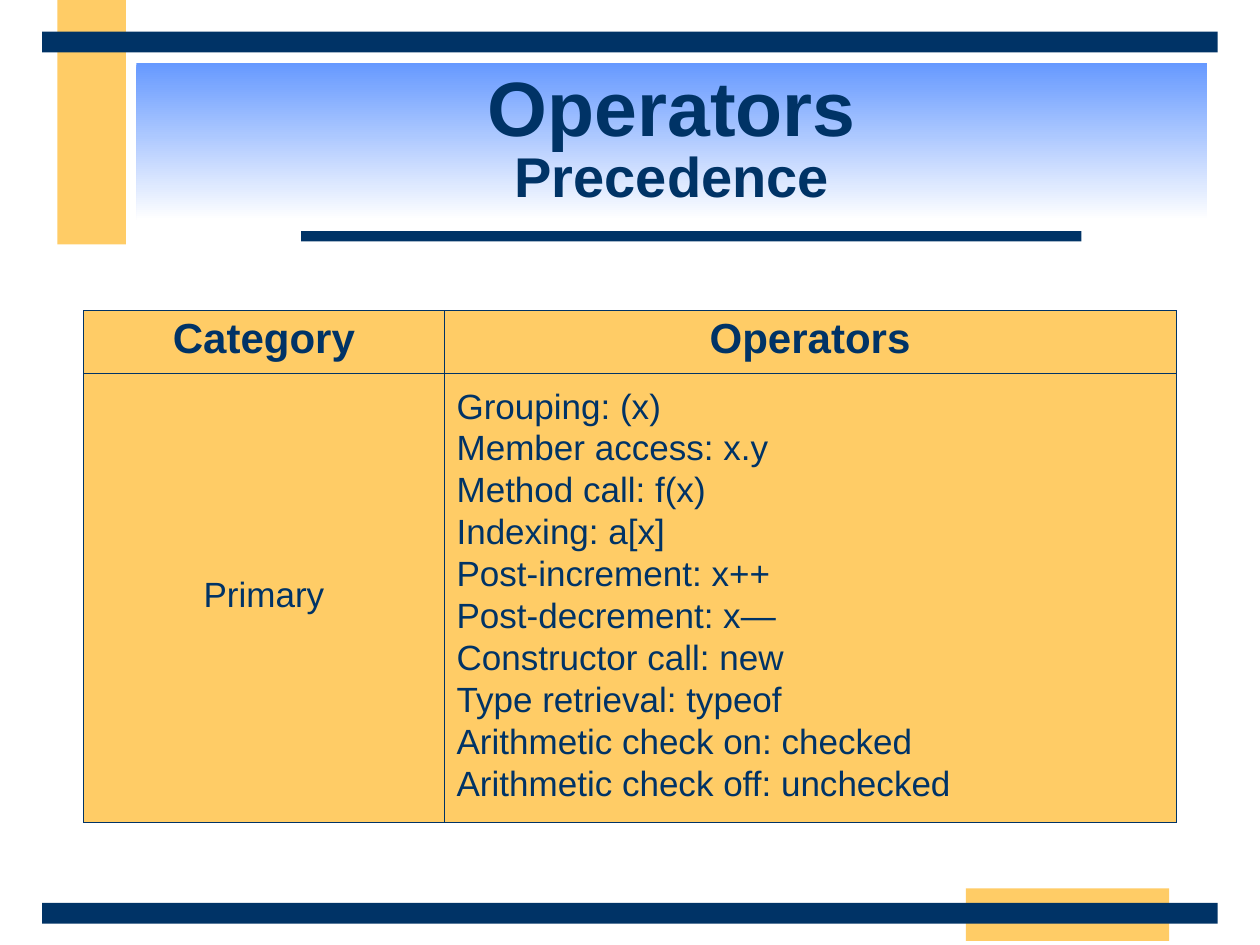
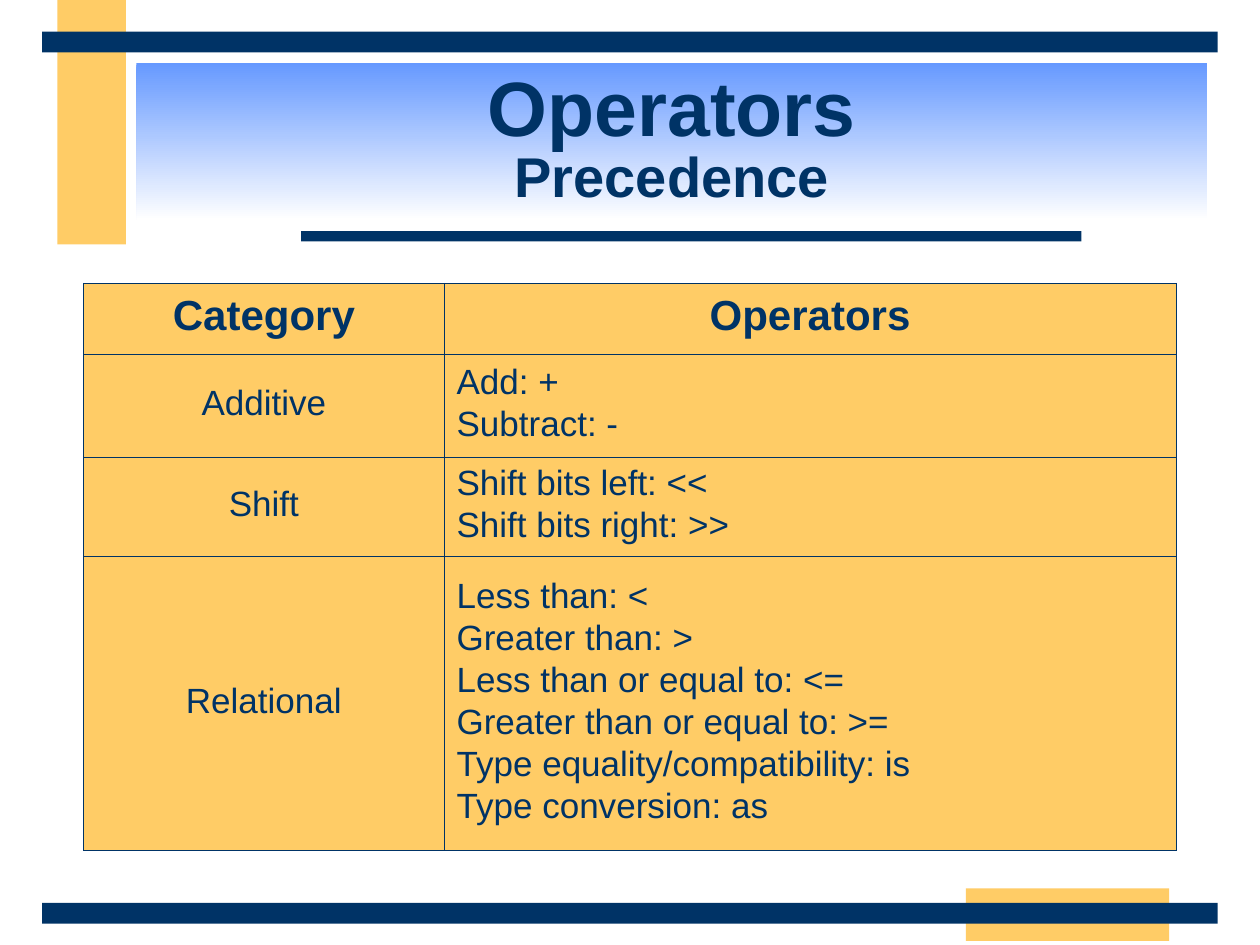
from lxml.etree import SubElement as Sub
from pptx import Presentation as Deck
from pptx.dml.color import RGBColor as Rgb
from pptx.enum.shapes import MSO_SHAPE as Shape
from pptx.enum.text import MSO_ANCHOR as Anchor, MSO_AUTO_SIZE as Fit, PP_ALIGN as Align
from pptx.oxml.ns import qn
from pptx.util import Cm, Pt

NAVY = Rgb(0x00, 0x33, 0x66)
GOLD = Rgb(0xFF, 0xCC, 0x66)
BLUE = Rgb(0x66, 0x99, 0xFF)
WHITE = Rgb(0xFF, 0xFF, 0xFF)

BANDS = [
    (GOLD, (1.16, 0, 1.38, 4.93)),
    (GOLD, (19.47, 17.91, 4.1, 1.06)),
    (NAVY, (6.07, 4.66, 15.73, 0.21)),
    (NAVY, (0.85, 18.2, 23.7, 0.42)),
    (NAVY, (0.85, 0.64, 23.7, 0.42)),
]
HEAD = ("Category", ["Operators"])
TABLES = [
    (6.26, [1.27, 9.04], [
        HEAD,
        ("Primary", ["Grouping: (x)", "Member access: x.y", "Method call: f(x)",
                     "Indexing: a[x]", "Post-increment: x++", "Post-decrement: x—",
                     "Constructor call: new", "Type retrieval: typeof",
                     "Arithmetic check on: checked",
                     "Arithmetic check off: unchecked"]),
    ]),
    (5.71, [1.44, 2.06, 2, 5.94], [
        HEAD,
        ("Additive", ["Add: +", "Subtract: -"]),
        ("Shift", ["Shift bits left: <<", "Shift bits right: >>"]),
        ("Relational", ["Less than: <", "Greater than: >",
                        "Less than or equal to: <=", "Greater than or equal to: >=",
                        "Type equality/compatibility: is", "Type conversion: as"]),
    ]),
]


def put(item, **vals):
    """Set each given value on the item."""
    for key, val in vals.items():
        setattr(item, key, val)


class Page:
    """Holds the shared style and the current slide."""

    font = {"name": "Arial", "bold": True}
    left = 1.69
    cols = [7.26, 14.76]

    def __init__(self, deck):
        """Keep the deck."""
        self.deck = deck
        self.slide = None

    def start(self):
        """Open a slide and draw its bands."""
        self.slide = self.deck.slides.add_slide(self.deck.slide_layouts[5])
        for tint, box in BANDS:
            self.band(tint, box)

    def band(self, tint, box):
        """Draw one plain bar."""
        bar = self.slide.shapes.add_shape(Shape.RECTANGLE, *map(Cm, box))
        bar.shadow.inherit = False
        bar.fill.solid()
        bar.fill.fore_color.rgb = tint
        bar.line.fill.background()

    def style(self, font, **vals):
        """Apply the deck's font with changes."""
        put(font, **{**self.font, **vals})
        font.color.rgb = NAVY

    def title(self, main, sub):
        """Fill the title with a large and a small line."""
        head = self.slide.shapes.title
        put(head, left=Cm(2.75), top=Cm(1.27), width=Cm(21.59), height=Cm(3.17))
        head.fill.gradient()
        head.fill.gradient_angle = 270
        for stop, tint, pos in zip(head.fill.gradient_stops, (BLUE, WHITE), (0, 1)):
            stop.color.rgb = tint
            stop.position = pos
        frame = head.text_frame
        put(frame, auto_size=Fit.NONE, vertical_anchor=Anchor.MIDDLE, word_wrap=True)
        para = frame.paragraphs[0]
        put(para, alignment=Align.CENTER, line_spacing=0.85)
        for text, size in ((main, 44), (sub, 32)):
            if para.runs:
                para.add_line_break()
            run = para.add_run()
            run.text = text
            self.style(run.font, size=Pt(size))

    def cell(self, cell, lines, align, size, bold):
        """Write, border and fill one cell."""
        props = cell._tc.get_or_add_tcPr()
        for side in ("lnL", "lnR", "lnT", "lnB"):
            line = Sub(props, qn(f"a:{side}"), w=str(Pt(0.45)))
            Sub(Sub(line, qn("a:solidFill")), qn("a:srgbClr"), val=str(NAVY))
        cell.fill.solid()
        cell.fill.fore_color.rgb = GOLD
        cell.vertical_anchor = Anchor.MIDDLE
        cell.text = "\n".join(lines)
        for num, para in enumerate(cell.text_frame.paragraphs):
            put(para, alignment=align, line_spacing=0.85,
                space_before=Pt(5 if num else 0))
            self.style(para.font, size=Pt(size), bold=bold)
            for run in para.runs:
                self.style(run.font, size=Pt(size), bold=bold)

    def table(self, top, highs, rows):
        """Lay out categories and their operators."""
        box = map(Cm, (self.left, top, sum(self.cols), sum(highs)))
        grid = self.slide.shapes.add_table(len(rows), len(self.cols), *box).table
        put(grid, first_row=False, horz_banding=False)
        for col, wide in zip(grid.columns, self.cols):
            col.width = Cm(wide)
        for num, (row, high, (name, ops)) in enumerate(zip(grid.rows, highs, rows)):
            row.height = Cm(high)
            top_row = num == 0
            size = 24 if top_row else 20
            side = Align.CENTER if top_row else Align.LEFT
            self.cell(row.cells[0], [name], Align.CENTER, size, top_row)
            self.cell(row.cells[1], ops, side, size, top_row)


def main():
    """Build and save the deck."""
    deck = Deck()
    put(deck, slide_width=Cm(25.4), slide_height=Cm(19.05))
    page = Page(deck)
    for data in TABLES:
        page.start()
        page.title("Operators", "Precedence")
        page.table(*data)
    deck.save("out.pptx")


if __name__ == "__main__":
    main()
